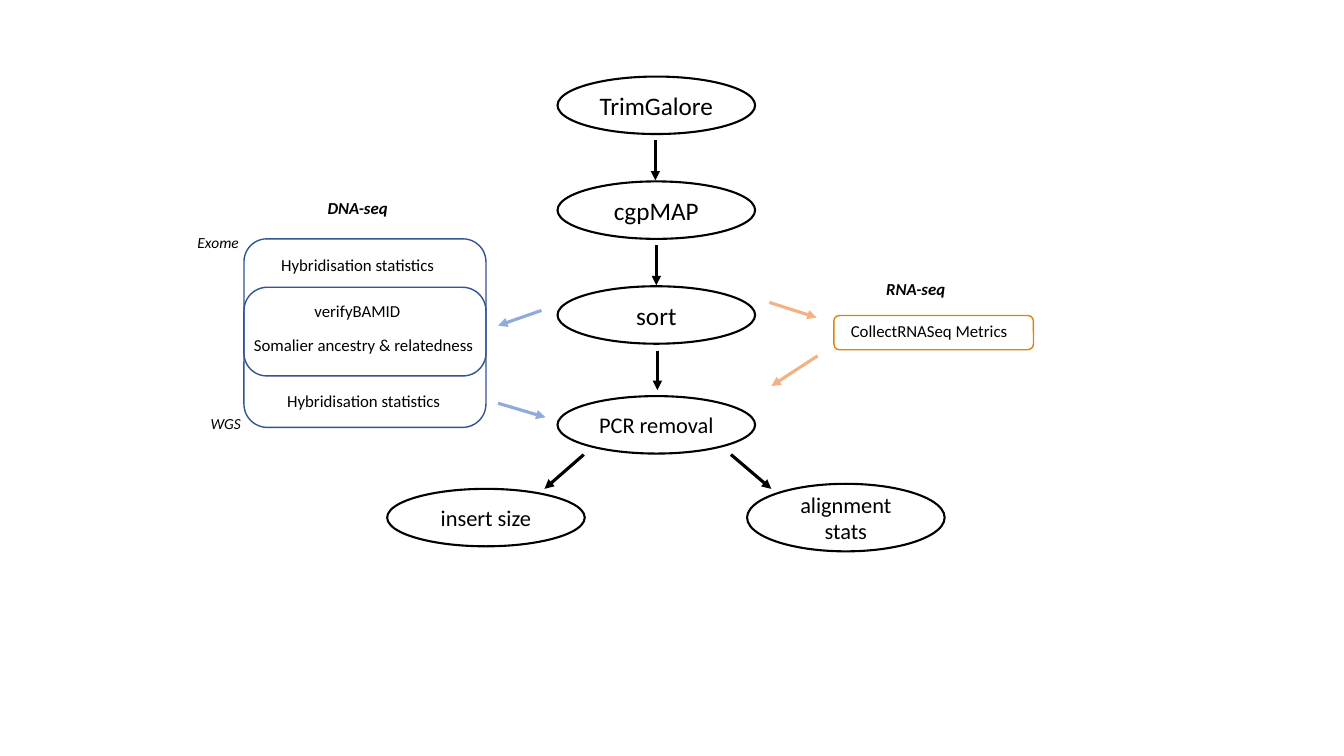
from lxml.etree import SubElement
from pptx import Presentation
from pptx.dml.color import RGBColor
from pptx.enum.shapes import MSO_CONNECTOR, MSO_SHAPE
from pptx.enum.text import MSO_ANCHOR, MSO_AUTO_SIZE, PP_ALIGN
from pptx.oxml.ns import qn
from pptx.util import Pt

PX = 9144  # 100 px to the inch
COLORS = {
    "black": "000000", "white": "FFFFFF",
    "dna_box": "325491", "dna_arrow": "8FAADC",
    "rna_box": "E18401", "rna_arrow": "F4B183",
}
STEP_X, STEP_W, STEP_H = 553, 196, 57


def write(tf, text, **font):
    """Put one Calibri run in a text frame, with the given font values."""
    r = tf.paragraphs[0].add_run()
    r.text = text
    r.font.color.rgb = RGBColor.from_string(COLORS["black"])
    for name, value in {"name": "Calibri", **font}.items():
        setattr(r.font, name, value)


def add_outline(kind, box, color, width):
    sp = s.shapes.add_shape(kind, *[v * PX for v in box])
    sp.shadow.inherit = False
    sp.line.color.rgb = RGBColor.from_string(COLORS[color])
    sp.line.width = Pt(width)
    return sp


prs = Presentation()
prs.slide_width, prs.slide_height = 1333 * PX, 750 * PX
s = prs.slides.add_slide(prs.slide_layouts[6])

# Pipeline steps
steps = [
    ("TrimGalore", STEP_X, 76, STEP_H, 18),
    ("cgpMAP", STEP_X, 180, STEP_H, 18),
    ("sort", STEP_X, 284, STEP_H, 18),
    ("PCR removal", STEP_X, 393, STEP_H, 16),
    ("insert size", 384, 485, STEP_H, 16),
    ("alignment stats", 741, 480, 67, 16),
]
for text, x, y, h, size in steps:
    sp = add_outline(MSO_SHAPE.OVAL, (x, y, STEP_W, h), "black", 1.5)
    sp.fill.solid()
    sp.fill.fore_color.rgb = RGBColor.from_string(COLORS["white"])
    tf = sp.text_frame
    tf.word_wrap = True
    tf.vertical_anchor = MSO_ANCHOR.MIDDLE
    tf.paragraphs[0].alignment = PP_ALIGN.CENTER
    write(tf, text, size=Pt(size))

# Overlapping exome and WGS boxes, then the RNA box
boxes = [
    ((242, 285, 240, 139), "dna_box"),
    ((242, 237, 240, 136), "dna_box"),
    ((827, 313, 198, 34), "rna_box"),
]
for box, color in boxes:
    add_outline(MSO_SHAPE.ROUNDED_RECTANGLE, box, color, 1).fill.background()

# Labels
heading = {"size": Pt(12), "bold": True, "italic": True}
side = {"size": Pt(11), "italic": True}
metric = {"size": Pt(12)}
labels = [
    ("DNA-seq", (315, 191, 81, 30), heading),
    ("RNA-seq", (869, 272, 79, 30), heading),
    ("Exome", (186, 226, 62, 29), side),
    ("WGS", (199, 406, 51, 29), side),
    ("Hybridisation statistics", (269, 248, 174, 30), metric),
    ("verifyBAMID", (302, 293, 106, 30), metric),
    ("Somalier ancestry & relatedness", (242, 327, 240, 30), metric),
    ("Hybridisation statistics", (275, 383, 174, 30), metric),
    ("CollectRNASeq Metrics", (834, 313, 177, 30), metric),
]
for text, box, font in labels:
    tf = s.shapes.add_textbox(*[v * PX for v in box]).text_frame
    tf.word_wrap = False
    tf.auto_size = MSO_AUTO_SIZE.SHAPE_TO_FIT_TEXT
    write(tf, text, **font)

# Arrows
arrows = [
    ((650, 139, 650, 179), "black"),
    ((651, 243, 651, 283), "black"),
    ((652, 348, 652, 387), "black"),
    ((579, 451, 540, 485), "black"),
    ((725, 451, 765, 485), "black"),
    ((537, 308, 494, 323), "dna_arrow"),
    ((494, 400, 541, 414), "dna_arrow"),
    ((763, 300, 810, 315), "rna_arrow"),
    ((811, 353, 765, 383), "rna_arrow"),
]
for ends, color in arrows:
    line = s.shapes.add_connector(MSO_CONNECTOR.STRAIGHT, *[v * PX for v in ends])
    line.line.color.rgb = RGBColor.from_string(COLORS[color])
    line.line.width = Pt(2.25)
    SubElement(line.line._get_or_add_ln(), qn("a:tailEnd"), type="triangle")
    SubElement(line._element.spPr, qn("a:effectLst"))

prs.save("out.pptx")
